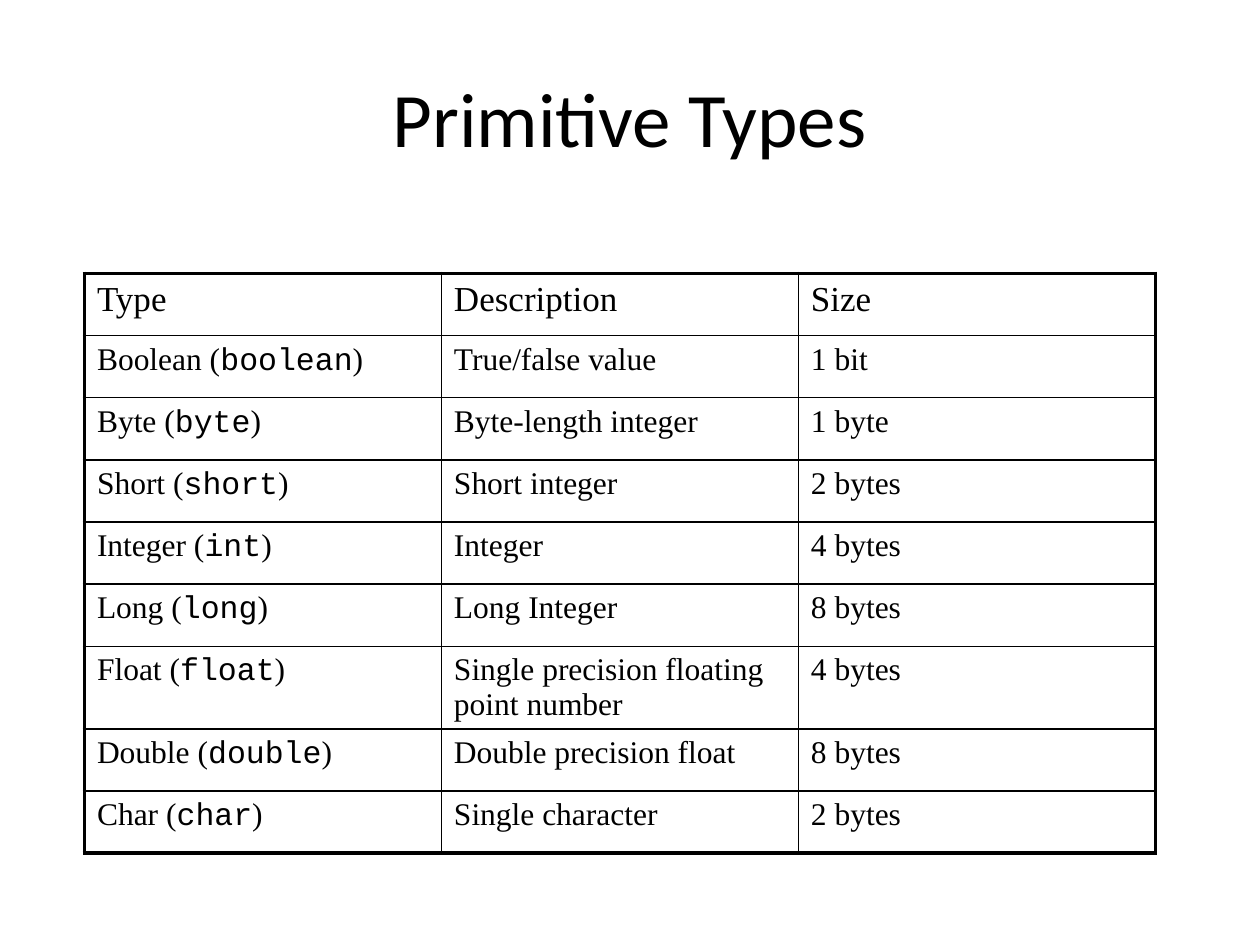
from lxml import etree
from pptx import Presentation
from pptx.dml.color import RGBColor
from pptx.enum.text import MSO_ANCHOR, PP_ALIGN
from pptx.oxml.ns import qn
from pptx.util import Inches, Pt

BLACK = RGBColor(0x00, 0x00, 0x00)
TITLE_FONT, BODY_FONT, CODE_FONT = "Calibri", "Times New Roman", "Courier New"
OUTER_LINE, INNER_LINE = Pt(2.25), Pt(1)

HEADINGS = ("Type", "Description", "Size")
PRIMITIVES = (
    ("Boolean", "boolean", "True/false value", "1 bit"),
    ("Byte", "byte", "Byte-length integer", "1 byte"),
    ("Short", "short", "Short integer", "2 bytes"),
    ("Integer", "int", "Integer", "4 bytes"),
    ("Long", "long", "Long Integer", "8 bytes"),
    ("Float", "float", "Single precision floating point number", "4 bytes"),
    ("Double", "double", "Double precision float", "8 bytes"),
    ("Char", "char", "Single character", "2 bytes"),
)


def add_run(paragraph, text, size, font=BODY_FONT):
    run = paragraph.add_run()
    run.text = text
    run.font.name = font
    run.font.size = Pt(size)
    run.font.color.rgb = BLACK


def set_borders(cell, widths):
    """Draw the cell's edges; widths come in the order left, right, top, bottom."""
    properties = cell._tc.get_or_add_tcPr()
    for position, (tag, width) in enumerate(zip(("a:lnL", "a:lnR", "a:lnT", "a:lnB"), widths)):
        line = etree.Element(qn(tag), w=str(int(width)))
        fill = etree.SubElement(line, qn("a:solidFill"))
        etree.SubElement(fill, qn("a:srgbClr"), val=str(BLACK))
        properties.insert(position, line)


def add_title(slide, left, top, width, height):
    title = slide.shapes.add_textbox(left, top, width, height).text_frame
    title.word_wrap = True
    title.vertical_anchor = MSO_ANCHOR.MIDDLE
    heading = title.paragraphs[0]
    heading.alignment = PP_ALIGN.CENTER
    add_run(heading, "Primitive Types", 44, TITLE_FONT)


def add_types_table(slide, left, top, width, height):
    rows = [[[(heading, BODY_FONT)] for heading in HEADINGS]]
    for name, keyword, description, size in PRIMITIVES:
        rows.append([
            [(f"{name} (", BODY_FONT), (keyword, CODE_FONT), (")", BODY_FONT)],
            [(description, BODY_FONT)],
            [(size, BODY_FONT)],
        ])
    last_row, last_column = len(rows) - 1, len(HEADINGS) - 1
    table = slide.shapes.add_table(len(rows), len(HEADINGS), left, top, width, height).table
    table.first_row = False
    table.horz_banding = False

    for r, row in enumerate(rows):
        for c, pieces in enumerate(row):
            cell = table.cell(r, c)
            cell.fill.background()
            on_edge = (c == 0, c == last_column, r == 0, r == last_row)
            set_borders(cell, [OUTER_LINE if edge else INNER_LINE for edge in on_edge])
            for text, font in pieces:
                add_run(cell.text_frame.paragraphs[0], text, 20 if r == 0 else 18, font)


def main():
    presentation = Presentation()
    presentation.slide_width, presentation.slide_height = Inches(10), Inches(7.5)
    slide = presentation.slides.add_slide(presentation.slide_layouts[6])
    add_types_table(slide, Inches(0.67), Inches(2.17), Inches(8.5), Inches(4.44))
    add_title(slide, Inches(0.5), Inches(0.3), Inches(9), Inches(1.25))
    presentation.save("out.pptx")


if __name__ == "__main__":
    main()
